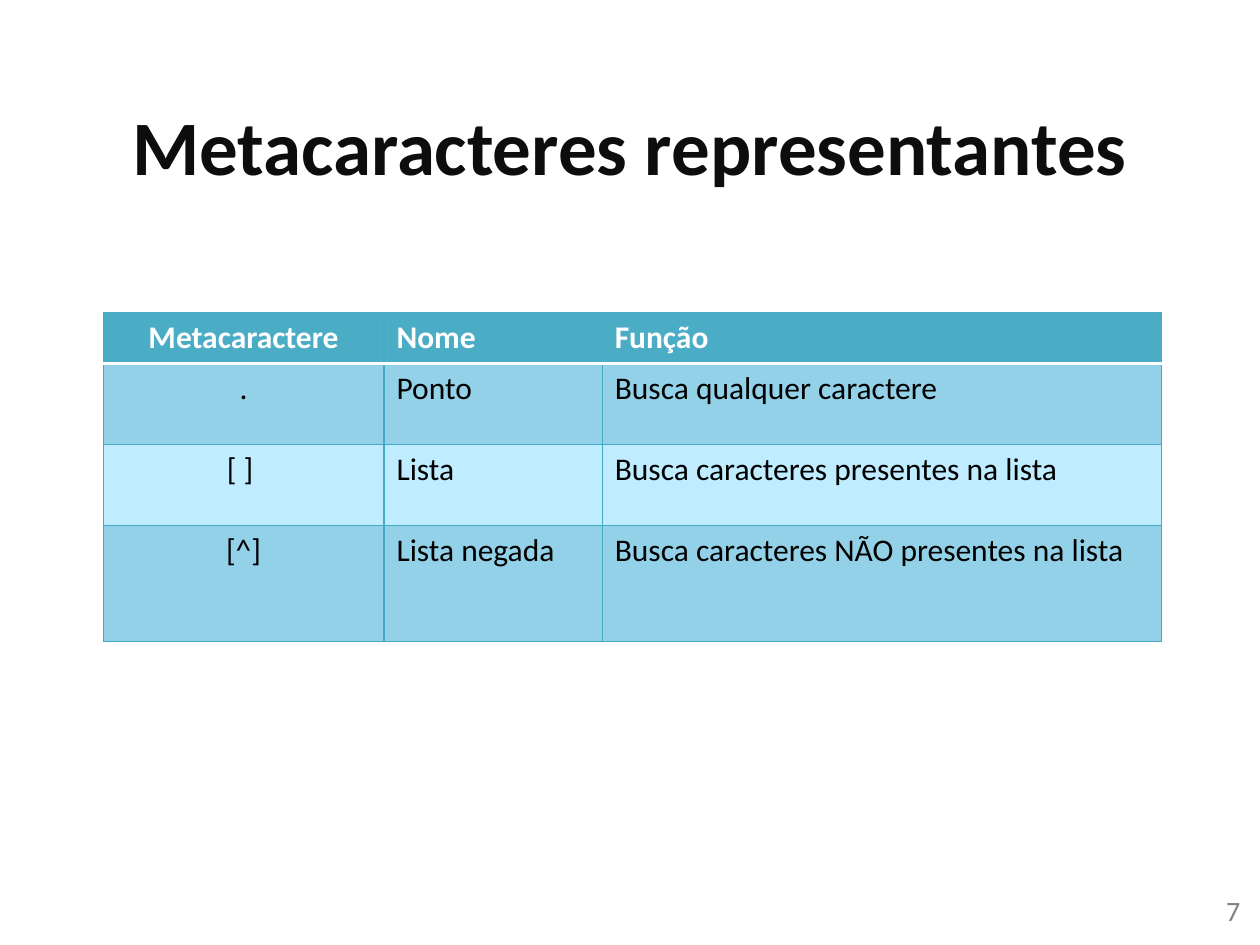
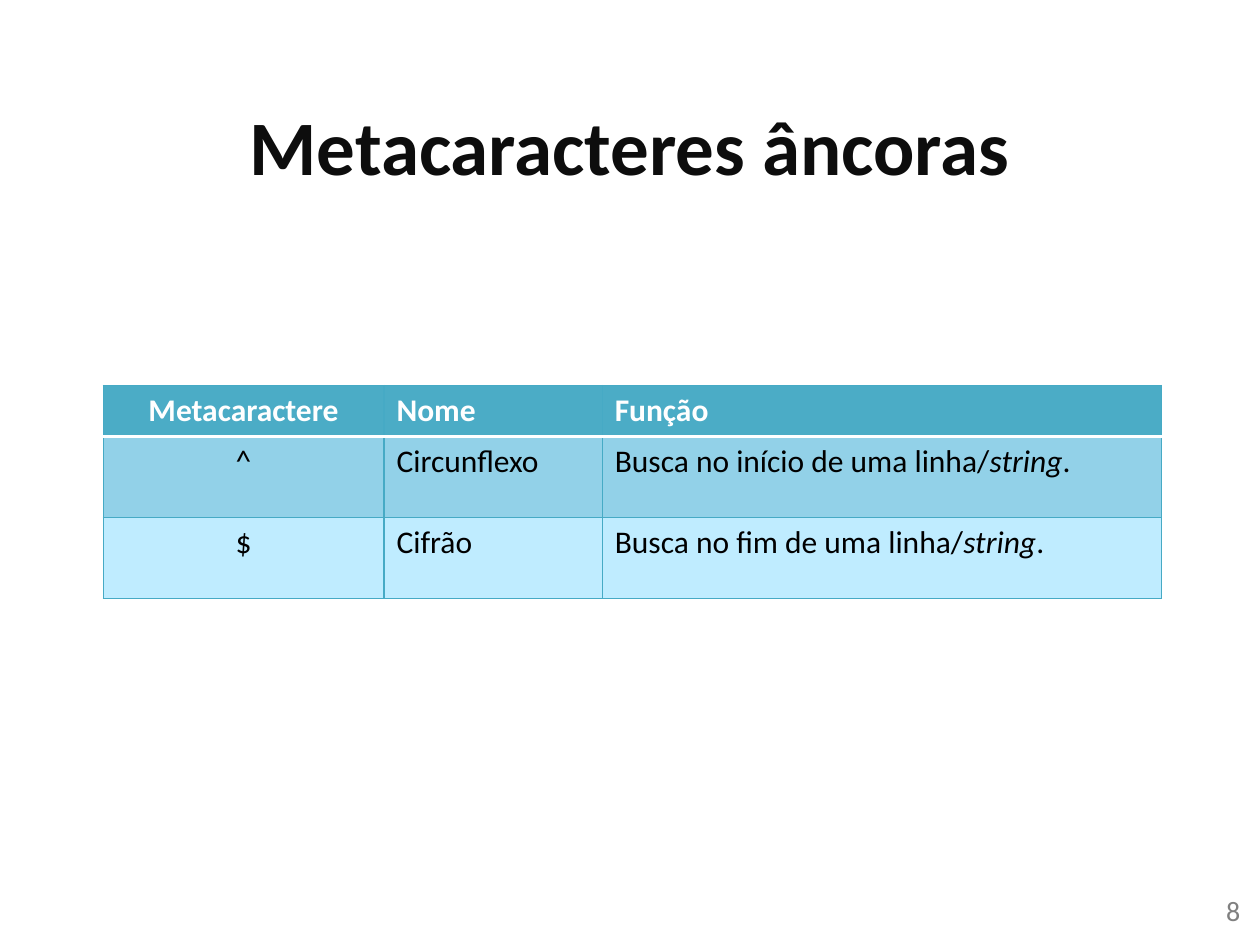
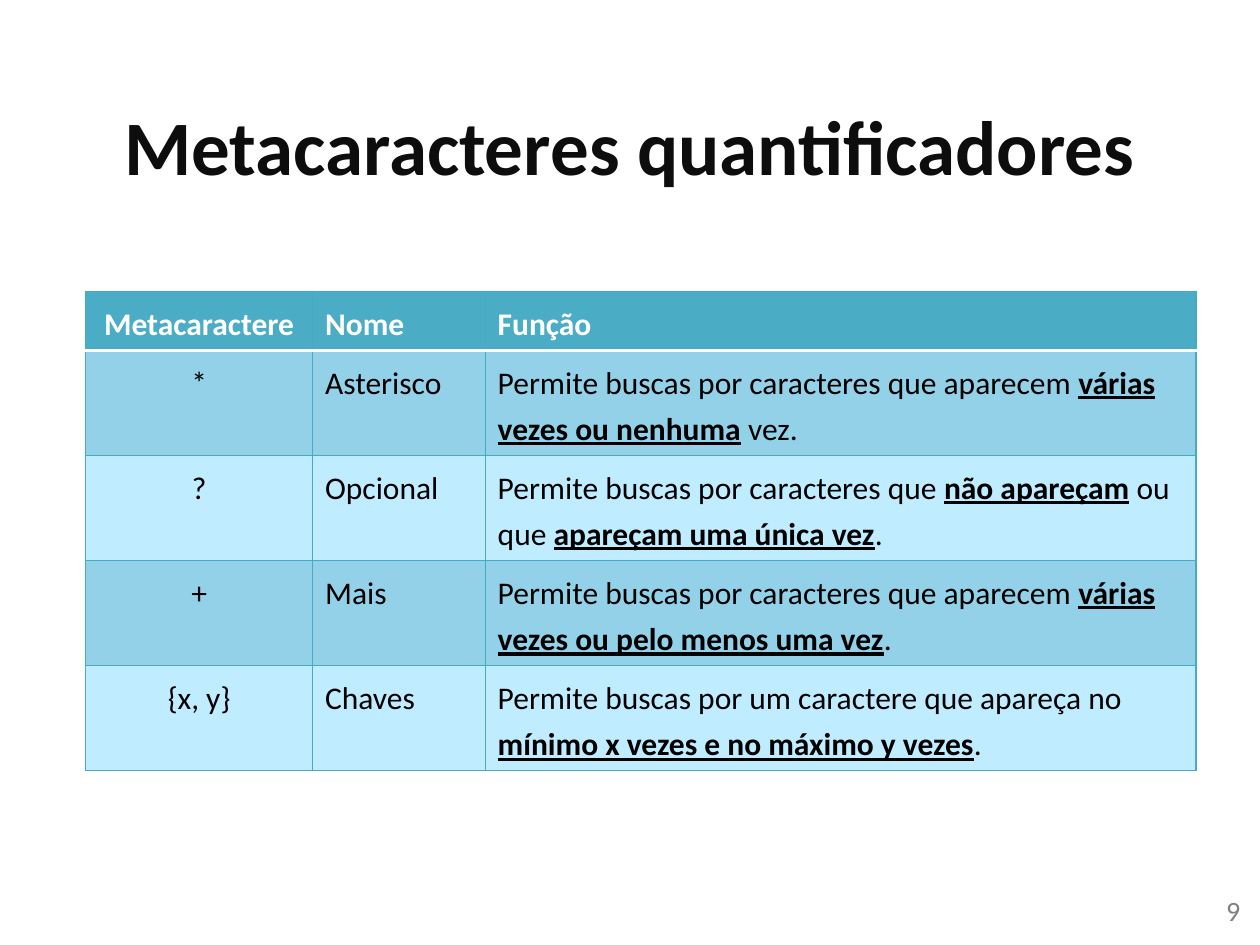
import pptx
import pptx.dml.color
import pptx.enum.text
import pptx.oxml
import pptx.oxml.ns
import pptx.util
from lxml import etree

Cm, Pt = pptx.util.Cm, pptx.util.Pt
ALIGN = pptx.enum.text.PP_ALIGN
ANCHOR = pptx.enum.text.MSO_ANCHOR

FONT = "Calibri"
TITLE_INK, NUMBER_INK, BODY_INK, WHITE = "0D0D0D", "808080", "000000", "FFFFFF"
HEADER_FILL, DARK_ROW, LIGHT_ROW, GRID = "4BACC6", "92D1E8", "BFECFF", "46AAC5"

TITLE_BOX = (1.27, 1.32, 22.86, 3.18)
NUMBER_BOX = (19.33, 17.88, 5.92, 1.02)
HEADINGS = ("Metacaractere", "Nome", "Função")
FIRST_NUMBER = 7

# A cell is a string or a list of runs; a run is a string or (text, style),
# where the style letters are b (bold), i (italic) and u (underlined).
COMMON_COLUMNS = (5.66, 4.4, 11.28)
SLIDES = [
    dict(
        title="Metacaracteres representantes",
        corner=(2.08, 6.3), columns=COMMON_COLUMNS,
        heights=(1.03, 1.63, 1.63, 2.34), spacing=1.0,
        rows=[
            (".", "Ponto", "Busca qualquer caractere"),
            ("[ ] ", "Lista", "Busca caracteres presentes na lista"),
            ("[^]", "Lista negada", "Busca caracteres NÃO presentes na lista"),
        ],
    ),
    dict(
        title="Metacaracteres âncoras",
        corner=(2.08, 7.77), columns=COMMON_COLUMNS,
        heights=(1.03, 1.63, 1.63), spacing=1.0,
        rows=[
            ("^", "Circunflexo", ["Busca no início de uma linha/", ("string", "i"), "."]),
            ("$", "Cifrão", ["Busca no fim de uma linha/", ("string", "i"), "."]),
        ],
    ),
    dict(
        title="Metacaracteres quantificadores",
        corner=(1.73, 5.87), columns=(4.57, 3.48, 14.33),
        heights=(1.19,) + (2.12,) * 4, spacing=1.2,
        rows=[
            ("*", "Asterisco", ["Permite buscas por caracteres que aparecem ",
                                ("várias vezes ou nenhuma", "bu"), " vez."]),
            ("?", "Opcional", ["Permite buscas por caracteres que ",
                               ("não apareçam", "bu"), " ou que ",
                               ("apareçam uma única vez", "bu"), "."]),
            ("+", "Mais", ["Permite buscas por caracteres que aparecem ",
                           ("várias vezes ou pelo menos uma vez", "bu"), "."]),
            ("{x, y}", "Chaves", ["Permite buscas por um caractere que apareça no ",
                                  ("mínimo x vezes e no máximo y vezes", "bu"), "."]),
        ],
    ),
]


def rgb(code):
    return pptx.dml.color.RGBColor.from_string(code)


def write(paragraph, content, size, ink, bold=False, align=ALIGN.LEFT, spacing=1.0):
    """Fill a paragraph run by run."""
    paragraph.alignment = align
    paragraph.line_spacing = spacing
    for piece in [content] if isinstance(content, str) else content:
        words, style = (piece, "") if isinstance(piece, str) else piece
        run = paragraph.add_run()
        run.text = words
        font = run.font
        font.name, font.size = FONT, Pt(size)
        font.color.rgb = rgb(ink)
        font.bold = bold or "b" in style
        font.italic = "i" in style
        font.underline = "u" in style


def add_label(slide, box, words, size, ink, bold, align, anchor):
    label = slide.shapes.add_textbox(*map(Cm, box)).text_frame
    label.word_wrap = True
    label.vertical_anchor = anchor
    write(label.paragraphs[0], words, size, ink, bold, align)


def add_border(cell, side, ink, width):
    properties = cell._tc.get_or_add_tcPr()
    line = etree.SubElement(properties, pptx.oxml.ns.qn("a:ln" + side), w=str(Pt(width)))
    fill = etree.SubElement(line, pptx.oxml.ns.qn("a:solidFill"))
    etree.SubElement(fill, pptx.oxml.ns.qn("a:srgbClr"), val=ink)


def add_metacharacters(slide, corner, columns, heights, spacing, rows):
    """Table of metacharacters with its top left at the given corner."""
    box = (*corner, sum(columns), sum(heights))
    table = slide.shapes.add_table(len(heights), len(columns), *map(Cm, box)).table
    for column, width in zip(table.columns, columns):
        column.width = Cm(width)
    for row, height in zip(table.rows, heights):
        row.height = Cm(height)

    for r, contents in enumerate([HEADINGS, *rows]):
        is_header = r == 0
        row_fill = HEADER_FILL if is_header else (LIGHT_ROW, DARK_ROW)[r % 2]
        for c, content in enumerate(contents):
            cell = table.cell(r, c)
            # White rule between the header and the first row, thin grid elsewhere
            for side in "LRTB":
                is_rule = (r, side) in ((0, "B"), (1, "T"))
                add_border(cell, side, *((WHITE, 2) if is_rule else (GRID, 0.75)))
            cell.fill.solid()
            cell.fill.fore_color.rgb = rgb(row_fill)
            write(cell.text_frame.paragraphs[0], content, 18,
                  WHITE if is_header else BODY_INK, is_header,
                  ALIGN.CENTER if c == 0 else ALIGN.LEFT, spacing)


def add_table_slide(deck, number, title, **table):
    slide = deck.slides.add_slide(deck.slide_layouts[6])
    add_label(slide, TITLE_BOX, title, 44, TITLE_INK, True, ALIGN.CENTER, ANCHOR.MIDDLE)
    add_label(slide, NUMBER_BOX, str(number), 16, NUMBER_INK, False, ALIGN.RIGHT, ANCHOR.TOP)
    add_metacharacters(slide, **table)


def main():
    deck = pptx.Presentation()
    deck.slide_width, deck.slide_height = Cm(25.4), Cm(19.05)
    for number, content in enumerate(SLIDES, FIRST_NUMBER):
        add_table_slide(deck, number, **content)
    deck.save("out.pptx")


if __name__ == "__main__":
    main()
